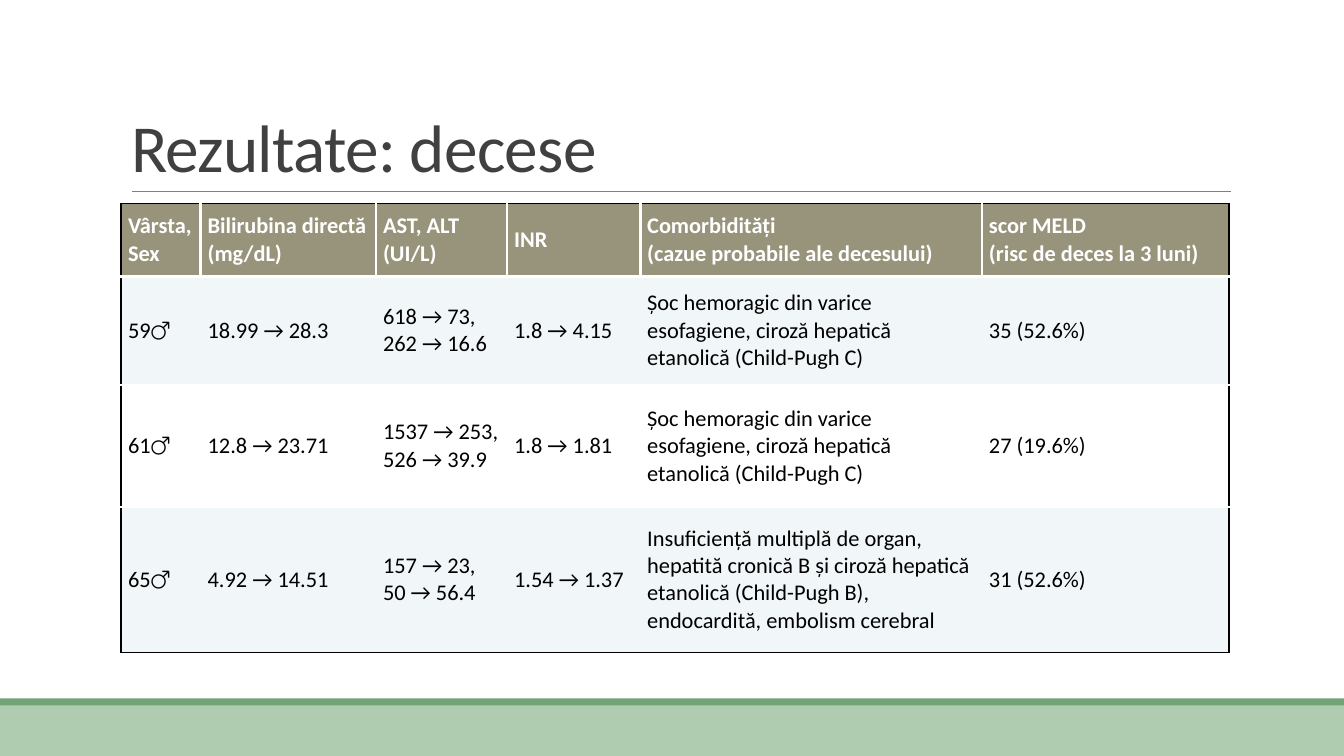
from lxml.etree import SubElement
from pptx import Presentation
from pptx.dml.color import RGBColor
from pptx.enum.shapes import MSO_CONNECTOR, MSO_SHAPE
from pptx.enum.text import MSO_ANCHOR, MSO_AUTO_SIZE, PP_ALIGN
from pptx.oxml.ns import qn
from pptx.util import Pt

PX = 9144  # 100 px to the inch
MALE = "♂"


def color(hex_text):
    return RGBColor.from_string(hex_text)


def write(frame, text, size=16, ink="000000", bold=False, line_spacing=None, spacing=None):
    for index, line in enumerate(text.split("\n")):
        para = frame.paragraphs[0] if index == 0 else frame.add_paragraph()
        para.alignment = PP_ALIGN.LEFT
        if line_spacing:
            para.line_spacing = line_spacing
        before, sign, after = line.partition(MALE)
        for part in filter(None, (before, sign, after)):
            span = para.add_run()
            span.text = part
            span.font.name = "Calibri"
            span.font.size = Pt(size)
            span.font.bold = bold or part == MALE
            span.font.color.rgb = color(ink)
            if spacing:
                span.font._element.set("spc", str(spacing))


# Deck and page
deck = Presentation()
deck.slide_width, deck.slide_height = 1333 * PX, 750 * PX
page = deck.slides.add_slide(deck.slide_layouts[5])

# Footer bands
for top, height, fill in ((700, 50, "B0CCB0"), (693, 7, "72A376")):
    band = page.shapes.add_shape(MSO_SHAPE.RECTANGLE, 0, top * PX, 1333 * PX, height * PX)
    band.shadow.inherit = False
    band.fill.solid()
    band.fill.fore_color.rgb = color(fill)
    band.line.fill.background()

# Rule under the title
rule = page.shapes.add_connector(MSO_CONNECTOR.STRAIGHT, 131 * PX, 190 * PX, 1221 * PX, 190 * PX)
rule.line.color.rgb = color("808080")
rule.line.width = Pt(0.5)
SubElement(rule._element.spPr, qn("a:effectLst"))

# Title
title = page.shapes.title
title.left, title.top, title.width, title.height = 120 * PX, 31 * PX, 1100 * PX, 159 * PX
title.text_frame.word_wrap = True
title.text_frame.auto_size = MSO_AUTO_SIZE.NONE
title.text_frame.vertical_anchor = MSO_ANCHOR.BOTTOM
write(title.text_frame, "Rezultate: decese", size=48, ink="404040", line_spacing=0.85, spacing=-50)

# Table of deaths
SHOCK = "Șoc hemoragic din varice esofagiene, ciroză hepatică etanolică (Child-Pugh C)"
FAILURE = ("Insuficiență multiplă de organ, hepatită cronică B și ciroză hepatică "
           "etanolică (Child-Pugh B), endocardită, embolism cerebral")
rows = [
    ["Vârsta, Sex", "Bilirubina directă\n(mg/dL)", "AST, ALT\n(UI/L)", "INR",
     "Comorbidități\n(cazue probabile ale decesului)", "scor MELD\n(risc de deces la 3 luni)"],
    ["59♂", "18.99 → 28.3", "618 → 73,\n262 → 16.6", "1.8 → 4.15", SHOCK, "35 (52.6%)"],
    ["61♂", "12.8 → 23.71", "1537 → 253,\n526 → 39.9", "1.8 → 1.81", SHOCK, "27 (19.6%)"],
    ["65♂", "4.92 → 14.51", "157 → 23,\n50 → 56.4", "1.54 → 1.37", FAILURE, "31 (52.6%)"],
]
widths = [79, 174, 130, 132, 339, 245]
heights = [72, 108, 121, 144]
fills = ["98947C", "F1F6F8", "FFFFFF", "F1F6F8"]
last_row, last_column = len(rows) - 1, len(widths) - 1

table = page.shapes.add_table(len(rows), len(widths), 120 * PX, 202 * PX,
                              sum(widths) * PX, sum(heights) * PX).table
for column, width in zip(table.columns, widths):
    column.width = width * PX
for table_row, height in zip(table.rows, heights):
    table_row.height = height * PX

for r, texts in enumerate(rows):
    for c, text in enumerate(texts):
        cell = table.cell(r, c)
        cell.margin_left = cell.margin_right = 7 * PX
        cell.margin_top = cell.margin_bottom = 0
        cell.vertical_anchor = MSO_ANCHOR.MIDDLE
        header = r == 0
        write(cell.text_frame, text, ink="FFFFFF" if header else "000000", bold=header)

        # Black outer frame, white inner lines, no upright lines below the header
        outer_sides = {"L": c == 0, "R": c == last_column, "T": r == 0, "B": r == last_row}
        for side, outer in outer_sides.items():
            border = SubElement(cell._tc.get_or_add_tcPr(), qn(f"a:ln{side}"))
            border.set("w", str(Pt(1 if outer else 2.25)))
            if outer or header or side in "TB":
                paint = SubElement(border, qn("a:solidFill"))
                SubElement(paint, qn("a:srgbClr")).set("val", "000000" if outer else "FFFFFF")
            else:
                SubElement(border, qn("a:noFill"))
        cell.fill.solid()
        cell.fill.fore_color.rgb = color(fills[r])

deck.save("out.pptx")
